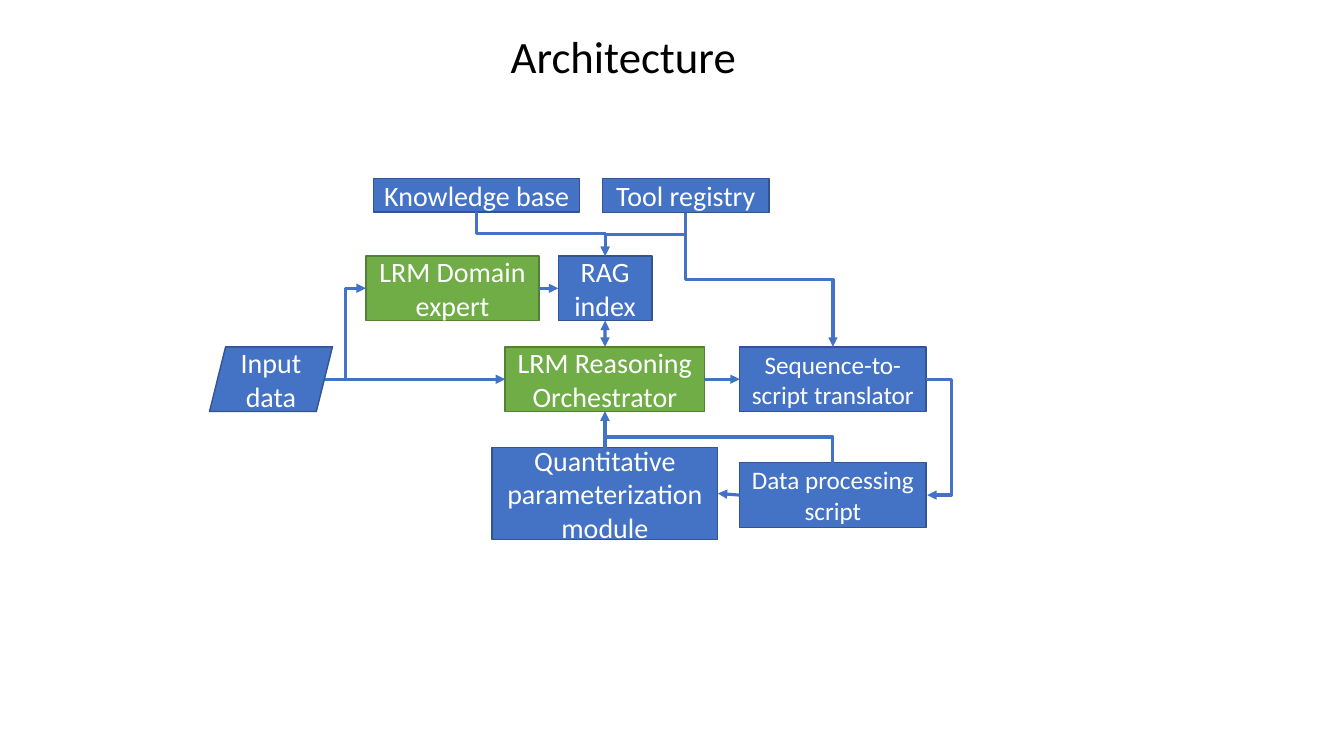
from dataclasses import dataclass

from lxml import etree
from pptx import Presentation, util as u
from pptx.dml.color import RGBColor
from pptx.enum import shapes, text
from pptx.oxml.ns import qn


@dataclass(frozen=True)
class Theme:
    """Colours, font and type sizes of the deck."""
    font: str = "Calibri"
    ink: str = "000000"
    paper: str = "FFFFFF"
    blue: tuple = ("4472C4", "325491")
    green: tuple = ("70AD47", "538035")
    title: int = 32
    label: int = 20
    small: int = 18
    edge: float = 1
    wire: float = 2.25


class Chart:
    """Draws the boxes and arrows of a flow chart on one slide."""

    def __init__(self, slide, theme):
        """Keep the slide and its theme."""
        self.slide, self.theme = slide, theme

    def style(self, para, size, color):
        """Set the font of a paragraph."""
        font = para.font
        font.name, font.size = self.theme.font, u.Pt(size)
        font.color.rgb = RGBColor.from_string(color)

    def title(self, words, x, y, w, h):
        """Add the slide heading."""
        frame = self.slide.shapes.add_textbox(*map(u.Cm, (x, y, w, h))).text_frame
        frame.word_wrap = True
        frame.text = words
        self.style(frame.paragraphs[0], self.theme.title, self.theme.ink)

    def box(self, words, x, y, w, h, tone=None, size=None, kind=shapes.MSO_SHAPE.RECTANGLE):
        """Add a labelled box and return the middle of each side."""
        fill, edge = tone or self.theme.blue
        shape = self.slide.shapes.add_shape(kind, *map(u.Cm, (x, y, w, h)))
        shape.shadow.inherit = False
        shape.fill.solid()
        shape.fill.fore_color.rgb = RGBColor.from_string(fill)
        shape.line.color.rgb = RGBColor.from_string(edge)
        shape.line.width = u.Pt(self.theme.edge)
        frame = shape.text_frame
        frame.word_wrap = True
        frame.vertical_anchor = text.MSO_ANCHOR.MIDDLE
        frame.text = words
        para = frame.paragraphs[0]
        para.alignment = text.PP_ALIGN.CENTER
        self.style(para, size or self.theme.label, self.theme.paper)
        return {"top": (x + w / 2, y), "left": (x, y + h / 2),
                "base": (x + w / 2, y + h), "right": (x + w, y + h / 2)}

    def wire(self, start, end, kind=shapes.MSO_CONNECTOR.STRAIGHT, both=False):
        """Add an arrow between two points."""
        line = self.slide.shapes.add_connector(kind, *map(u.Cm, (*start, *end)))
        line.line.color.rgb = RGBColor.from_string(self.theme.blue[0])
        line.line.width = u.Pt(self.theme.wire)
        props = line.line._get_or_add_ln()
        for tip in ("a:headEnd", "a:tailEnd") if both else ("a:tailEnd",):
            etree.SubElement(props, qn(tip), type="triangle")
        etree.SubElement(line._element.spPr, qn("a:effectLst"))
        return line

    def elbow(self, start, end, bend=0.5):
        """Add a bent arrow that leaves sideways."""
        line = self.wire(start, end, shapes.MSO_CONNECTOR.ELBOW)
        guides = line._element.spPr.find(qn("a:prstGeom")).get_or_add_avLst()
        etree.SubElement(guides, qn("a:gd"), name="adj1", fmla=f"val {round(bend * 100000)}")

    def drop(self, start, end):
        """Add a bent arrow that leaves up or down."""
        (ax, ay), (bx, by) = start, end
        dx, dy = bx - ax, by - ay
        turn, sign = (90, 1) if dx < 0 < dy else (270, -1)
        mx, my = (ax + bx) / 2, (ay + by) / 2
        px, py = sign * dy / 2, -sign * dx / 2
        line = self.wire((mx - px, my - py), (mx + px, my + py), shapes.MSO_CONNECTOR.ELBOW)
        line._element.spPr.find(qn("a:xfrm")).set("rot", str(turn * 60000))


def main():
    """Build and save the slide."""
    deck = Presentation()
    deck.slide_width, deck.slide_height = u.Cm(33.87), u.Cm(19.05)
    theme = Theme()
    chart = Chart(deck.slides.add_slide(deck.slide_layouts[6]), theme)
    chart.title("Architecture", 12.62, 0.61, 9.09, 1.63)

    high, mid, tall = 6.45, 8.74, 1.63
    col, wide = 18.64, 4.7
    base = chart.box("Knowledge base", 9.42, 4.5, 5.19, 0.84)
    tools = chart.box("Tool registry", 15.19, 4.5, 4.19, 0.86)
    expert = chart.box("LRM Domain expert", 9.22, high, 4.37, tall, theme.green)
    index = chart.box("RAG index", 14.07, high, 2.36, tall)
    data = chart.box("Input data", 5.28, mid, 3.1, tall,
                     kind=shapes.MSO_SHAPE.PARALLELOGRAM)
    core = chart.box("LRM Reasoning Orchestrator", 12.73, mid, 5.03, tall, theme.green)
    coder = chart.box("Sequence-to-script translator", col, mid, wide, tall, size=theme.small)
    script = chart.box("Data processing script", col, 11.66, wide, tall, size=theme.small)
    module = chart.box("Quantitative parameterization module", 12.4, 11.28, 5.69, 2.31)

    slant = (data["right"][0] - 0.2, data["right"][1])
    chart.wire(slant, core["left"])
    chart.wire(expert["right"], index["left"])
    chart.wire(core["top"], index["base"], both=True)
    chart.wire(core["right"], coder["left"])
    chart.wire(script["left"], module["right"])
    chart.wire(module["top"], core["base"])

    chart.drop(base["base"], index["top"])
    chart.drop(tools["base"], index["top"])
    chart.drop(tools["base"], coder["top"])
    chart.drop(script["top"], core["base"])

    chart.elbow(slant, expert["left"])
    x, y = script["right"]
    chart.elbow(coder["right"], (x + 0.03, y), bend=21)
    deck.save("out.pptx")


if __name__ == "__main__":
    main()
